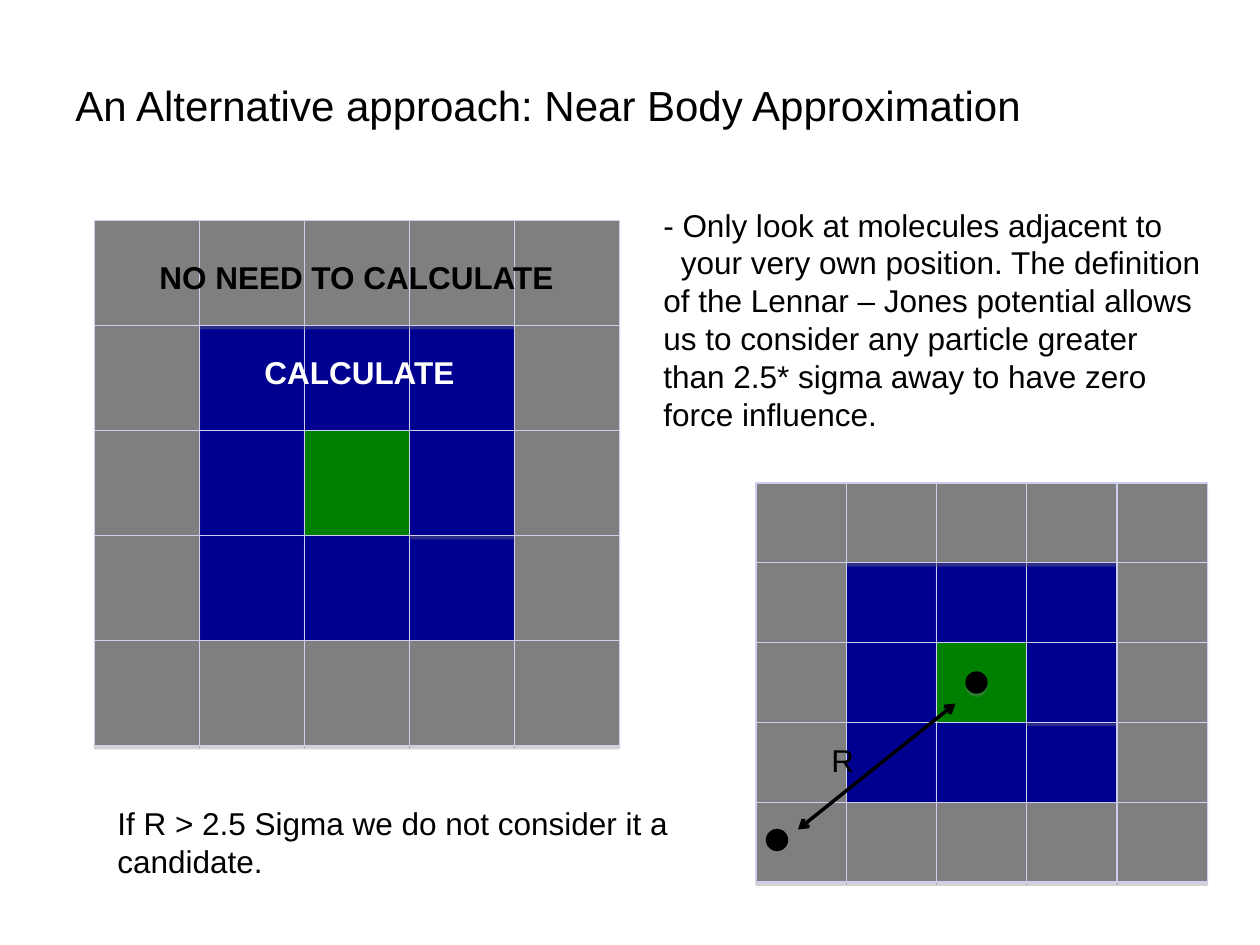
from itertools import product

from lxml import etree
from pptx import Presentation
from pptx import util as u
from pptx.dml.color import RGBColor
from pptx.enum import shapes, text
from pptx.oxml.ns import qn

COLORS = {"black": "000000", "white": "FFFFFF", "far": "7F7F7F", "near": "000090",
          "self": "008000", "edge": "CECEEF", "shadow": "808080"}
COLS, ROWS = 120, 90
WIDTH, HEIGHT = u.Inches(10), u.Inches(7.5)


def rgb(name):
    """Return the named palette colour."""
    return RGBColor.from_string(COLORS[name])


def place(x, y, w, h):
    """Turn slide grid columns and rows into lengths."""
    return [round(v) for v in (x * WIDTH / COLS, y * HEIGHT / ROWS,
                               w * WIDTH / COLS, h * HEIGHT / ROWS)]


def add_shadow(sp):
    """Give a shape a soft-grey shadow just below it."""
    effects = etree.SubElement(sp._element.spPr, qn("a:effectLst"))
    outer = etree.SubElement(effects, qn("a:outerShdw"), blurRad="0",
                             dist=str(u.Pt(1.8)), dir="5400000", rotWithShape="0")
    color = etree.SubElement(outer, qn("a:srgbClr"), val=COLORS["shadow"])
    etree.SubElement(color, qn("a:alpha"), val="35000")


def add_block(parent, kind, box, fill, line):
    """Add a filled, outlined and shadowed preset shape."""
    sp = parent.add_shape(kind, *place(*box))
    sp.fill.solid()
    sp.fill.fore_color.rgb = rgb(fill)
    sp.line.color.rgb = rgb(line)
    sp.line.width = u.Pt(0.75)
    add_shadow(sp)


def add_text(s, box, lines, size=18, color="black", bold=False):
    """Add a text box with one paragraph for each (text, first-line indent)."""
    tf = s.shapes.add_textbox(*place(*box)).text_frame
    tf.word_wrap = True
    tf.vertical_anchor = text.MSO_ANCHOR.TOP
    for i, (line, indent) in enumerate(lines):
        p = tf.add_paragraph() if i else tf.paragraphs[0]
        if indent:
            p._p.get_or_add_pPr().set("indent", str(u.Inches(indent)))
        r = p.add_run()
        r.text = line
        r.font.name = "Arial"
        r.font.size = u.Pt(size)
        r.font.bold = bold
        r.font.color.rgb = rgb(color)


def add_cells(s, box, n=5):
    """Fill a box with n by n cells coloured by distance from the centre."""
    x, y, w, h = box
    cw, ch, mid = w / n, h / n, n // 2
    group = s.shapes.add_group_shape()

    def ring(cell):
        return max(abs(cell[0] - mid), abs(cell[1] - mid))

    def depth(cell):
        return ring(cell) > 1, cell == (mid, mid + 1)

    for row, col in sorted(product(range(n), repeat=2), key=depth):
        fill = ("self", "near", "far")[ring((row, col))]
        add_block(group.shapes, shapes.MSO_SHAPE.RECTANGLE,
                  (x + col * cw, y + row * ch, cw, ch), fill, "edge")


def add_region_map(s, box):
    """Draw the large grid with its two region labels."""
    x, y, w, h = box
    add_cells(s, box)
    add_text(s, (x + 5, y + 3, 45, 4.8), [("NO NEED TO CALCULATE", 0)], bold=True)
    add_text(s, (x + 15, y + 12, 26, 4.8), [("CALCULATE", 0)], color="white", bold=True)


def add_distance_map(s, box):
    """Draw the small grid with two particles and the distance R."""
    x, y, w, h = box
    add_cells(s, box)
    for dx, dy in ((20, 18), (1, 33)):
        add_block(s.shapes, shapes.MSO_SHAPE.OVAL, (x + dx, y + dy, 2, 2), "black", "black")
    ends = place(x + 4, y + 33, x + 19, y + 21)
    arrow = s.shapes.add_connector(shapes.MSO_CONNECTOR.STRAIGHT, *ends)
    arrow.line.color.rgb = rgb("black")
    arrow.line.width = u.Pt(2)
    for end in ("a:headEnd", "a:tailEnd"):
        etree.SubElement(arrow.line._get_or_add_ln(), qn(end), type="arrow")
    etree.SubElement(arrow._element.spPr, qn("a:effectLst"))
    add_text(s, (x + 6, y + 24, 19, 4.8), [("R", 0)])


def main():
    """Build and save the slide."""
    prs = Presentation()
    prs.slide_width, prs.slide_height = WIDTH, HEIGHT
    s = prs.slides.add_slide(prs.slide_layouts[6])
    add_text(s, (6, 7, 107, 15.6),
             [("An Alternative approach: Near Body Approximation", 0)], size=24)
    add_region_map(s, (9, 21, 50, 50))
    add_distance_map(s, (72, 46, 43, 38))
    add_text(s, (62, 19, 54, 22.8), [
        ("- Only look at molecules adjacent to", 0),
        ("your very own position. The definition of the Lennar – Jones potential allows "
         "us to consider any particle greater than 2.5* sigma away to have zero force "
         "influence.", 0.14)])
    add_text(s, (10, 76, 56, 8.4),
             [("If R > 2.5 Sigma we do not consider it a", 0), ("candidate.", 0)])
    prs.save("out.pptx")


if __name__ == "__main__":
    main()
